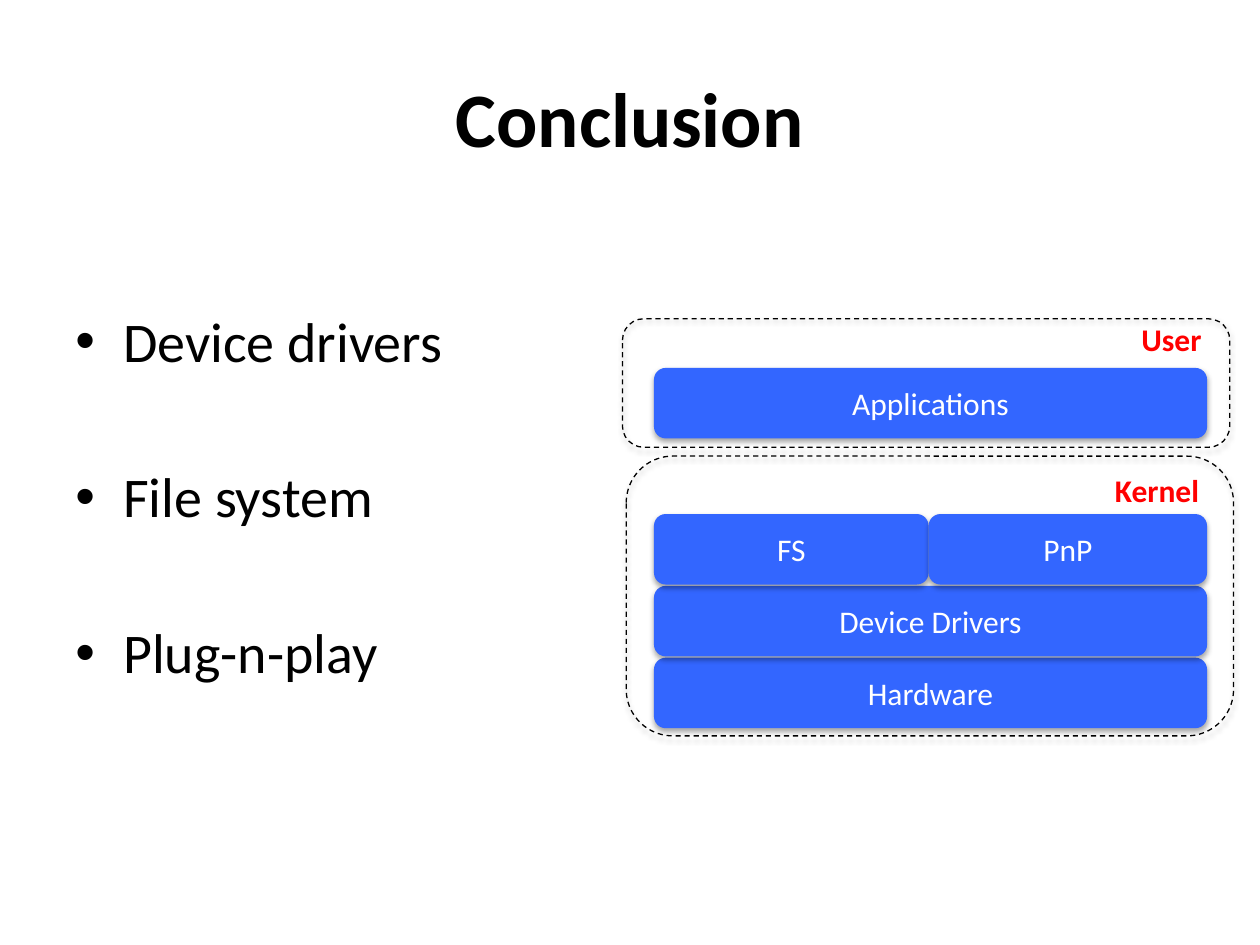
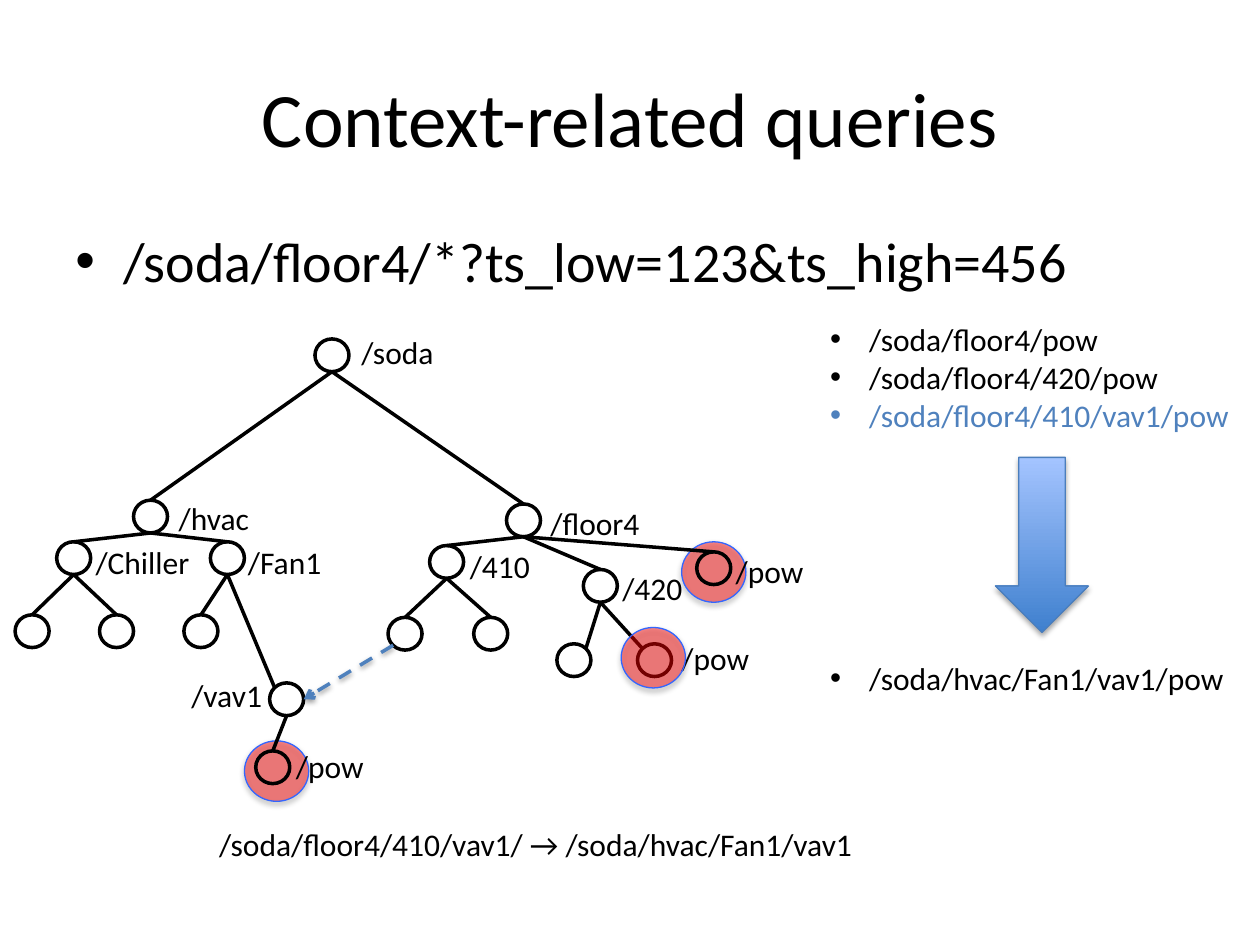
from dataclasses import dataclass
from typing import Optional

from lxml import etree
from pptx import Presentation
from pptx.dml.color import RGBColor
from pptx.enum.dml import MSO_LINE
from pptx.enum.shapes import MSO_CONNECTOR, MSO_SHAPE
from pptx.enum.text import MSO_ANCHOR, MSO_AUTO_SIZE, PP_ALIGN
from pptx.oxml.ns import qn
from pptx.util import Inches, Pt

ROUNDED, ELLIPSE, DOWN_ARROW = (
    MSO_SHAPE.ROUNDED_RECTANGLE, MSO_SHAPE.OVAL, MSO_SHAPE.DOWN_ARROW)
STRAIGHT = MSO_CONNECTOR.STRAIGHT
DASH = MSO_LINE.DASH
CENTER, MIDDLE = PP_ALIGN.CENTER, MSO_ANCHOR.MIDDLE
GROW, FIXED = MSO_AUTO_SIZE.SHAPE_TO_FIT_TEXT, MSO_AUTO_SIZE.NONE
TITLE_ONLY = 5
TOP_SITE = 0


@dataclass(frozen=True)
class Theme:
    font: str = "Calibri"
    title: int = 44
    body: int = 32
    small: int = 18
    thin: float = 0.75
    thick: float = 2
    black: str = "000000"
    white: str = "FFFFFF"
    red: str = "FF0000"
    block: str = "3366FF"
    link: str = "4F81BD"
    arrow_dark: str = "3F80CE"
    arrow_light: str = "A4C4FF"
    arrow_edge: str = "4B7EBC"


THEME = Theme()


@dataclass(frozen=True)
class Box:
    left: float
    top: float
    width: float
    height: float

    def emu(self) -> tuple:
        return tuple(map(Inches, (self.left, self.top, self.width, self.height)))


@dataclass(frozen=True)
class Bullet:
    text: str
    before: float = 0
    color: str = THEME.black


@dataclass(frozen=True)
class Block:
    text: str
    left: float
    top: float
    width: float


@dataclass(frozen=True)
class Layer:
    name: str
    frame: Box
    label: Box
    blocks: tuple


@dataclass(frozen=True)
class Node:
    """A tree node; entry is where the edge from its parent arrives."""
    key: str
    left: float
    top: float
    parent: Optional[str] = None
    entry: str = "top"
    label: str = ""
    label_dx: float = 0.2
    label_dy: float = -0.05
    label_width: float = 0.75


# Shared drawing helpers
def rgb(color: str) -> RGBColor:
    return RGBColor.from_string(color)


def add_run(paragraph, text: str, size: float, color: str, bold: bool = False) -> None:
    run = paragraph.add_run()
    run.text = text
    run.font.name, run.font.size, run.font.bold = THEME.font, Pt(size), bold
    run.font.color.rgb = rgb(color)


def add_titled_slide(prs, title: str, bold: bool = False):
    slide = prs.slides.add_slide(prs.slide_layouts[TITLE_ONLY])
    heading = slide.shapes.title
    heading.left, heading.top, heading.width, heading.height = Box(0.5, 0.3, 9, 1.25).emu()
    heading.text_frame.vertical_anchor = MIDDLE
    paragraph = heading.text_frame.paragraphs[0]
    paragraph.alignment = CENTER
    add_run(paragraph, title, THEME.title, THEME.black, bold)
    return slide


def add_label(slide, box: Box, text: str, color: str = THEME.black, bold: bool = False) -> None:
    frame = slide.shapes.add_textbox(*box.emu()).text_frame
    frame.word_wrap, frame.auto_size = False, GROW
    add_run(frame.paragraphs[0], text, THEME.small, color, bold)


def add_bullets(slide, box: Box, bullets: tuple, size: float, indent: float) -> None:
    frame = slide.shapes.add_textbox(*box.emu()).text_frame
    frame.word_wrap, frame.auto_size = True, FIXED
    for index, bullet in enumerate(bullets):
        paragraph = frame.add_paragraph() if index else frame.paragraphs[0]
        properties = paragraph._p.get_or_add_pPr()
        properties.set("marL", str(Inches(indent)))
        properties.set("indent", str(-Inches(indent)))
        etree.SubElement(properties, qn("a:buFont"), typeface="Arial")
        etree.SubElement(properties, qn("a:buChar"), char="•")
        if bullet.before:
            paragraph.space_before = Pt(bullet.before)
        add_run(paragraph, bullet.text, size, bullet.color)


def add_shadow(shape, opacity: int = 35, distance: float = 1.8) -> None:
    effects = shape._element.spPr.find(qn("a:effectLst"))
    shadow = etree.SubElement(
        effects, qn("a:outerShdw"), blurRad=str(Pt(3.1)), dist=str(Pt(distance)),
        dir="5400000", rotWithShape="0")
    color = etree.SubElement(shadow, qn("a:srgbClr"), val=THEME.black)
    etree.SubElement(color, qn("a:alpha"), val=str(opacity * 1000))


def add_figure(slide, kind, box: Box, fill: Optional[str] = None,
               line: Optional[str] = None, width: float = THEME.thin,
               shadow: bool = True):
    shape = slide.shapes.add_shape(kind, *box.emu())
    shape.shadow.inherit = False
    if shadow:
        add_shadow(shape)
    if fill:
        shape.fill.solid()
        shape.fill.fore_color.rgb = rgb(fill)
    else:
        shape.fill.background()
    if line:
        shape.line.color.rgb = rgb(line)
        shape.line.width = Pt(width)
    else:
        shape.line.fill.background()
    return shape


def add_line(slide, start: tuple, end: tuple, color: str = THEME.black):
    line = slide.shapes.add_connector(STRAIGHT, *map(Inches, start + end))
    line.line.color.rgb, line.line.width = rgb(color), Pt(THEME.thick)
    etree.SubElement(line._element.spPr, qn("a:effectLst"))
    return line


# Conclusion: the system layers
BLOCK_LEFT, BLOCK_WIDTH, BLOCK_HEIGHT, BLOCK_PITCH = 5.19, 4.39, 0.56, 0.57
KERNEL_TOP, FS_WIDTH = 4.08, 2.18
LAYERS = (
    Layer("Kernel", Box(4.97, 3.62, 4.82, 2.22), Box(8.75, 3.69, 0.88, 0.4), (
        Block("Hardware", BLOCK_LEFT, KERNEL_TOP + 2 * BLOCK_PITCH, BLOCK_WIDTH),
        Block("Device Drivers", BLOCK_LEFT, KERNEL_TOP + BLOCK_PITCH, BLOCK_WIDTH),
        Block("FS", BLOCK_LEFT, KERNEL_TOP, FS_WIDTH),
        Block("PnP", BLOCK_LEFT + FS_WIDTH, KERNEL_TOP, BLOCK_WIDTH - FS_WIDTH))),
    Layer("User", Box(4.94, 2.53, 4.82, 1.02), Box(8.96, 2.49, 0.68, 0.4), (
        Block("Applications", BLOCK_LEFT, 2.92, BLOCK_WIDTH),)),
)
TOPIC_GAP = 50.7
TOPICS = (Bullet("Device drivers"), Bullet("File system", TOPIC_GAP),
          Bullet("Plug-n-play", TOPIC_GAP))


def add_layer(slide, layer: Layer) -> None:
    frame = add_figure(slide, ROUNDED, layer.frame, line=THEME.black)
    frame.line.dash_style = DASH
    for block in layer.blocks:
        box = Box(block.left, block.top, block.width, BLOCK_HEIGHT)
        part = add_figure(slide, ROUNDED, box, fill=THEME.block)
        part.text_frame.vertical_anchor = MIDDLE
        paragraph = part.text_frame.paragraphs[0]
        paragraph.alignment = CENTER
        add_run(paragraph, block.text, THEME.small, THEME.white)
    add_label(slide, layer.label, layer.name, THEME.red, bold=True)


def build_conclusion(prs) -> None:
    slide = add_titled_slide(prs, "Conclusion", bold=True)
    add_bullets(slide, Box(0.5, 2.38, 4.3, 4.3), TOPICS, THEME.body, 0.38)
    for layer in LAYERS:
        add_layer(slide, layer)


# Context-related queries: the resource tree
NODE_WIDTH, NODE_HEIGHT = 0.27, 0.26
NODES = (
    Node("soda", 2.5, 2.69, None, "top", "/soda", 0.27, -0.1, 0.78),
    Node("hvac", 1.06, 3.97, "soda", "top", "/hvac", 0.26, -0.06, 0.77),
    Node("chiller", 0.45, 4.3, "hvac", "top", "/Chiller", 0.21, -0.04, 0.95),
    Node("fan1", 1.67, 4.3, "hvac", "top", "/Fan1", 0.2, -0.04, 0.8),
    Node("chiller left", 0.12, 4.88, "chiller"),
    Node("chiller right", 0.79, 4.88, "chiller"),
    Node("fan1 left", 1.46, 4.88, "fan1"),
    Node("vav1", 2.14, 5.42, "fan1", "top left", "/vav1", -0.72, -0.1, 0.78),
    Node("vav1 pow", 2.03, 5.96, "vav1", "top", "/pow", 0.22, -0.08),
    Node("floor4", 4.02, 4, "soda", "top", "/floor4", 0.25, -0.05, 0.92),
    Node("410", 3.41, 4.33, "floor4", "top", "/410", 0.22, -0.04, 0.68),
    Node("420", 4.63, 4.52, "floor4", "top", "/420", 0.21, -0.05, 0.68),
    Node("floor4 pow", 5.53, 4.38, "floor4", "top", "/pow", 0.21),
    Node("410 left", 3.08, 4.9, "410"),
    Node("410 right", 3.76, 4.9, "410"),
    Node("420 left", 4.42, 5.11, "420", "top right"),
    Node("420 pow", 5.06, 5.11, "420", "top left", "/pow", 0.25, -0.09),
)
NODE_BY_KEY = {node.key: node for node in NODES}
# Fractions of a node's width and height
SITES = {"top": (0.5, 0), "bottom": (0.5, 1), "right": (1, 0.5), "top left": (0.15, 0.15),
         "top right": (0.85, 0.15), "bottom left": (0.15, 0.85)}
HALOS_BEHIND = ((1.94, 5.88), (5.41, 4.3))
HALO_IN_FRONT = (4.93, 4.98)
RESULTS = (Bullet("/soda/floor4/pow"), Bullet("/soda/floor4/420/pow"),
           Bullet("/soda/floor4/410/vav1/pow", color=THEME.link),
           Bullet("/soda/hvac/Fan1/vav1/pow", before=129))


def site(key: str, name: str) -> tuple:
    node, (across, down) = NODE_BY_KEY[key], SITES[name]
    return node.left + across * NODE_WIDTH, node.top + down * NODE_HEIGHT


def add_halo(slide, left: float, top: float) -> None:
    halo = add_figure(slide, ELLIPSE, Box(left, top, 0.51, 0.48), THEME.red, THEME.block)
    color = halo._element.spPr.find(qn("a:solidFill"))[0]
    etree.SubElement(color, qn("a:alpha"), val="45000")


def add_tree(slide) -> None:
    for node in NODES:
        circle = add_figure(slide, ELLIPSE, Box(node.left, node.top, NODE_WIDTH, NODE_HEIGHT),
                            line=THEME.black, width=THEME.thick, shadow=False)
        if node.parent:
            edge = add_line(slide, site(node.parent, "bottom"), site(node.key, node.entry))
            if node.entry == "top":
                edge.end_connect(circle, TOP_SITE)
        if node.label:
            add_label(slide, Box(node.left + node.label_dx, node.top + node.label_dy,
                                 node.label_width, 0.4), node.label)


def add_symlink(slide) -> None:
    symlink = add_line(slide, site("410 left", "bottom left"), site("vav1", "right"), THEME.link)
    symlink.line.dash_style = DASH
    etree.SubElement(symlink.line._get_or_add_ln(), qn("a:tailEnd"), type="arrow")
    add_shadow(symlink, 38, 1.6)


def add_resolve_arrow(slide) -> None:
    arrow = add_figure(slide, DOWN_ARROW, Box(7.9, 3.63, 0.74, 1.39), line=THEME.arrow_edge)
    arrow.fill.gradient()
    arrow.fill.gradient_angle = 90
    for stop, color in zip(arrow.fill.gradient_stops, (THEME.arrow_dark, THEME.arrow_light)):
        stop.color.rgb = rgb(color)


def build_queries(prs) -> None:
    slide = add_titled_slide(prs, "Context-related queries")
    query = (Bullet("/soda/floor4/*?ts_low=123&ts_high=456"),)
    add_bullets(slide, Box(0.5, 1.75, 9, 0.7), query, THEME.body, 0.38)
    for left, top in HALOS_BEHIND:
        add_halo(slide, left, top)
    add_tree(slide)
    add_symlink(slide)
    add_halo(slide, *HALO_IN_FRONT)
    add_bullets(slide, Box(6.49, 2.49, 3.45, 3.13), RESULTS, THEME.small, 0.31)
    add_resolve_arrow(slide)
    add_label(slide, Box(1.64, 6.5, 5.39, 0.4),
              "/soda/floor4/410/vav1/ → /soda/hvac/Fan1/vav1")


def main() -> None:
    prs = Presentation()
    prs.slide_width, prs.slide_height = Inches(10), Inches(7.5)
    build_conclusion(prs)
    build_queries(prs)
    prs.save("out.pptx")


if __name__ == "__main__":
    main()
